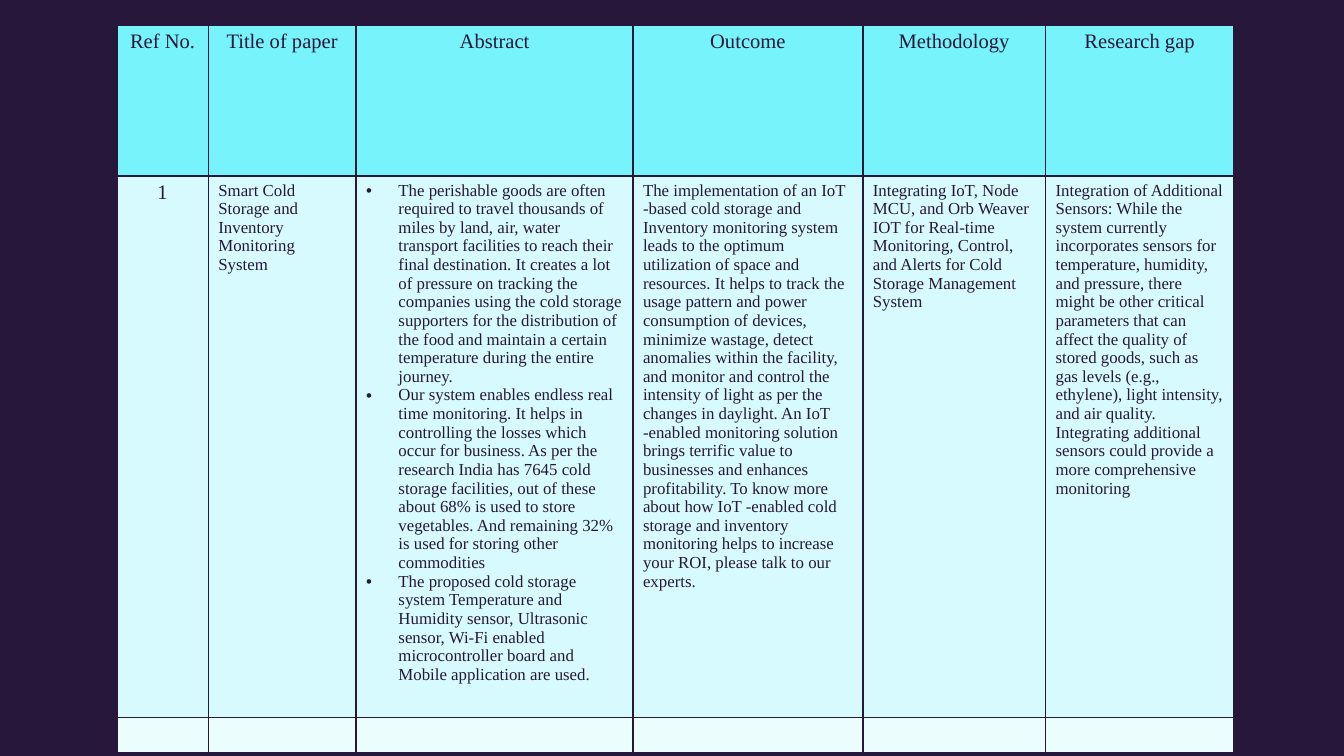
from dataclasses import dataclass

from pptx import Presentation
from pptx.dml.color import RGBColor
from pptx.enum.text import PP_ALIGN
from pptx.oxml.ns import qn
from pptx.util import Inches, Pt
from lxml.etree import SubElement


@dataclass(frozen=True)
class Theme:
    ink: str = "27173A"
    head: str = "76F3FB"
    body: str = "D6FAFD"
    pale: str = "ECFDFE"
    font: str = "Times New Roman"
    large: float = 11
    small: float = 9
    rule: float = 1


@dataclass(frozen=True)
class Entry:
    lines: tuple[str, ...] = ()
    size: float = Theme.small
    center: bool = False
    bullet: bool = False


@dataclass(frozen=True)
class Band:
    """One table row: its height, fill and entries."""
    height: float
    fill: str
    entries: list[Entry]


THEME = Theme()
WIDTH = 10
HEIGHT = WIDTH * 9 / 16
LEFT, TOP = 0.87, 0.19
COLS = (0.68, 1.1, 2.06, 1.71, 1.36, 1.4)
PAD_X, PAD_Y = Pt(5.4), Pt(2.7)
HANG = Inches(0.24)


def label(text: str) -> Entry:
    return Entry((text,), THEME.large, center=True)


HEADS = ("Ref No.", "Title of paper", "Abstract", "Outcome", "Methodology", "Research gap")
PAPER = [
    label("1"),
    Entry(("Smart Cold Storage and Inventory Monitoring System",)),
    Entry((
        "The perishable goods are often required to travel thousands of miles by land, air, "
        "water transport facilities to reach their final destination. It creates a lot of "
        "pressure on tracking the companies using the cold storage supporters for the "
        "distribution of the food and maintain a certain temperature during the entire journey.",
        "Our system enables endless real time monitoring. It helps in controlling the losses "
        "which occur for business. As per the research India has 7645 cold storage facilities, "
        "out of these about 68% is used to store vegetables. And remaining 32% is used for "
        "storing other commodities",
        "The proposed cold storage system Temperature and Humidity sensor, Ultrasonic sensor, "
        "Wi-Fi enabled microcontroller board and Mobile application are used.",
    ), bullet=True),
    Entry((
        "The implementation of an IoT -based cold storage and Inventory monitoring system leads "
        "to the optimum utilization of space and resources. It helps to track the usage pattern "
        "and power consumption of devices, minimize wastage, detect anomalies within the "
        "facility, and monitor and control the intensity of light as per the changes in "
        "daylight. An IoT -enabled monitoring solution brings terrific value to businesses and "
        "enhances profitability. To know more about how IoT -enabled cold storage and inventory "
        "monitoring helps to increase your ROI, please talk to our experts.",
    )),
    Entry((
        "Integrating IoT, Node MCU, and Orb Weaver IOT for Real-time Monitoring, Control, and "
        "Alerts for Cold Storage Management System",
    )),
    Entry((
        "Integration of Additional Sensors: While the system currently incorporates sensors for "
        "temperature, humidity, and pressure, there might be other critical parameters that can "
        "affect the quality of stored goods, such as gas levels (e.g., ethylene), light "
        "intensity, and air quality. Integrating additional sensors could provide a more "
        "comprehensive monitoring",
    )),
]
BANDS = (
    Band(1.12, THEME.head, [label(text) for text in HEADS]),
    Band(4.03, THEME.body, PAPER),
    Band(0.26, THEME.pale, [Entry(size=THEME.large)] * len(COLS)),
)


def color(code: str) -> RGBColor:
    return RGBColor.from_string(code)


def edge(cell) -> None:
    """Draw the four borders; they must come before the cell's fill."""
    props = cell._tc.get_or_add_tcPr()
    for side in "LRTB":
        line = SubElement(props, qn(f"a:ln{side}"), w=str(Pt(THEME.rule)))
        fill = SubElement(line, qn("a:solidFill"))
        SubElement(fill, qn("a:srgbClr"), val=THEME.ink)


def write(frame, entry: Entry) -> None:
    if not entry.lines:
        size = str(round(entry.size * 100))
        SubElement(frame.paragraphs[0]._p, qn("a:endParaRPr"), sz=size)
    for i, text in enumerate(entry.lines):
        par = frame.paragraphs[0] if i == 0 else frame.add_paragraph()
        par.text = text
        par.alignment = PP_ALIGN.CENTER if entry.center else PP_ALIGN.LEFT
        if entry.bullet:
            props = par._p.get_or_add_pPr()
            props.set("marL", str(HANG))
            props.set("indent", str(-HANG))
            SubElement(props, qn("a:buFont"), typeface="Arial")
            SubElement(props, qn("a:buChar"), char="•")
        par.font.name = THEME.font
        par.font.size = Pt(entry.size)
        par.font.color.rgb = color(THEME.ink)


def dress(cell, entry: Entry, band: Band) -> None:
    cell.margin_left = cell.margin_right = PAD_X
    cell.margin_top = cell.margin_bottom = PAD_Y
    edge(cell)
    cell.fill.solid()
    cell.fill.fore_color.rgb = color(band.fill)
    write(cell.text_frame, entry)


def main() -> None:
    deck = Presentation()
    deck.slide_width, deck.slide_height = Inches(WIDTH), Inches(HEIGHT)
    slide = deck.slides.add_slide(deck.slide_layouts[6])
    back = slide.background.fill
    back.solid()
    back.fore_color.rgb = color(THEME.ink)

    tall = sum(band.height for band in BANDS)
    table = slide.shapes.add_table(
        len(BANDS), len(COLS), Inches(LEFT), Inches(TOP), Inches(sum(COLS)), Inches(tall)
    ).table
    table.first_row = table.horz_banding = False
    for col, width in zip(table.columns, COLS):
        col.width = Inches(width)
    for row, band in zip(table.rows, BANDS):
        row.height = Inches(band.height)
        for cell, entry in zip(row.cells, band.entries):
            dress(cell, entry, band)
    deck.save("out.pptx")


if __name__ == "__main__":
    main()
